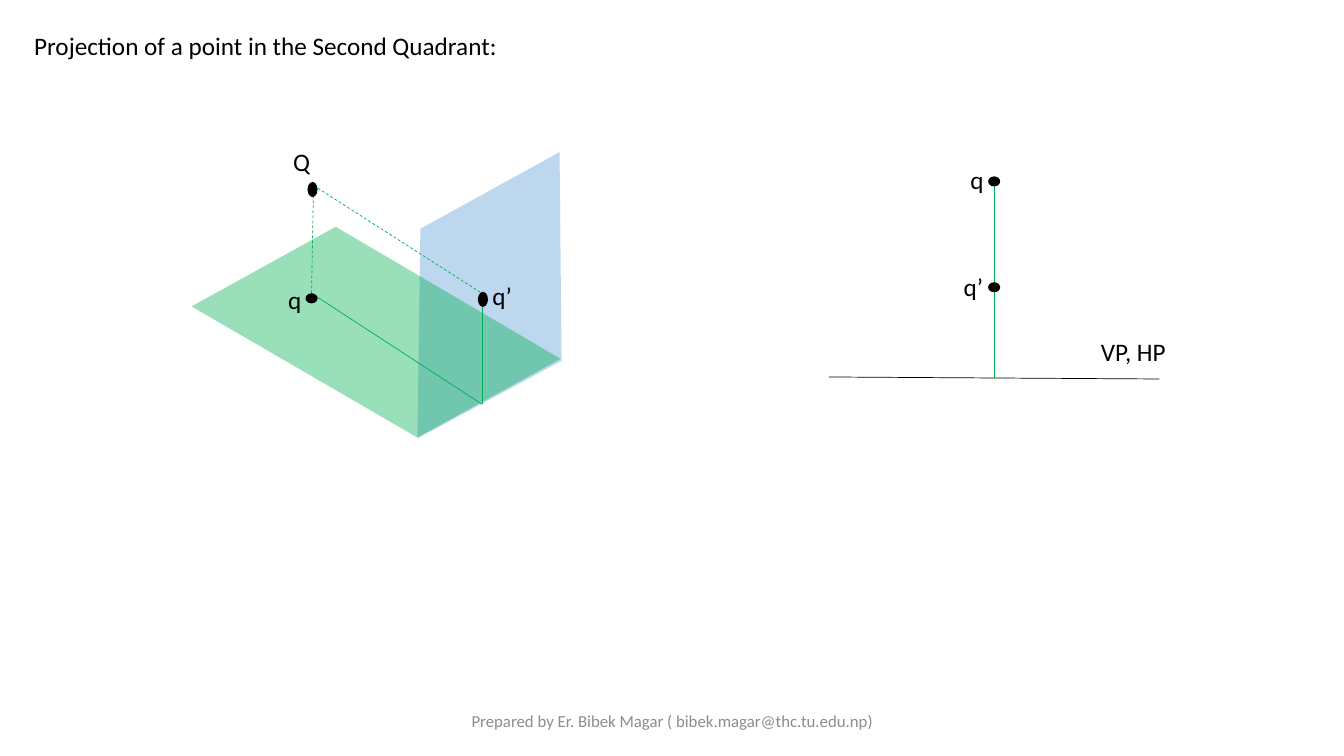
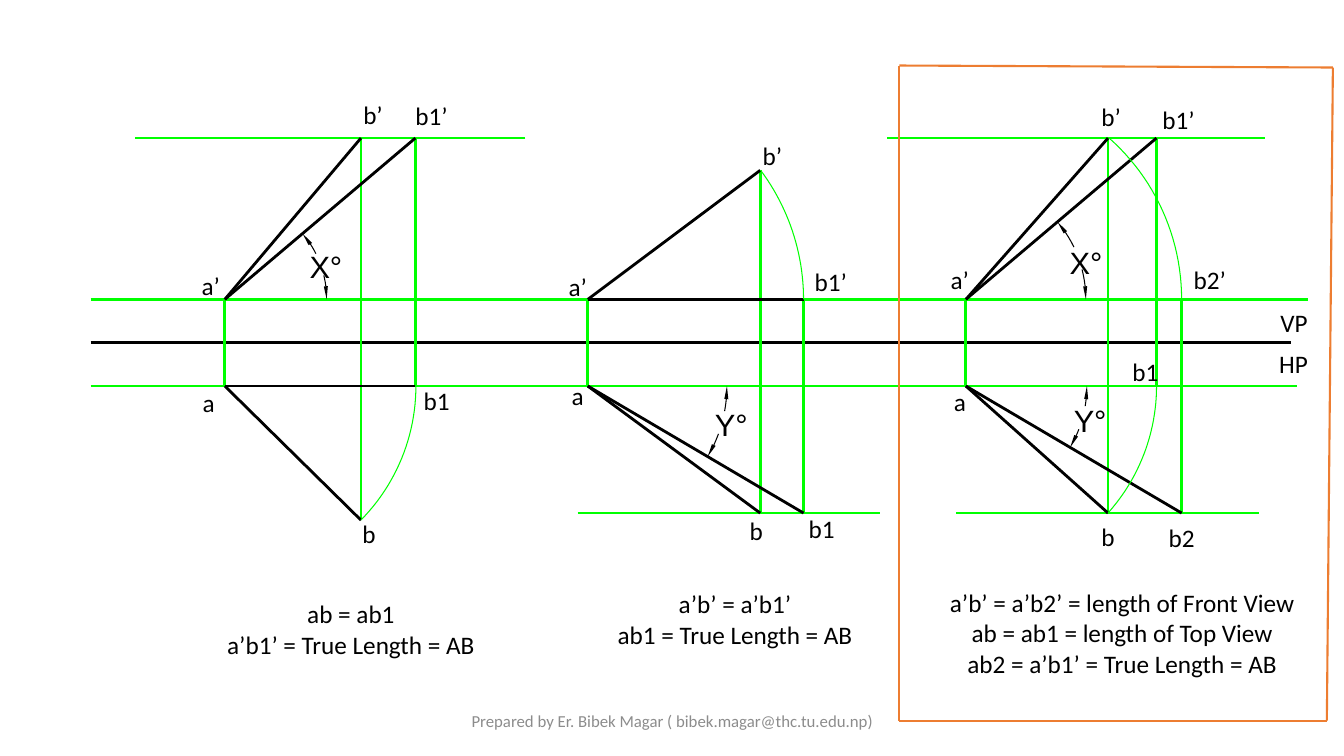
import math
from dataclasses import dataclass

import pptx
import pptx.dml.color
import pptx.enum.dml
import pptx.enum.shapes
import pptx.enum.text
import pptx.oxml.ns
import pptx.oxml.xmlchemy
import pptx.util
from pptx.util import Inches

ALIGN = pptx.enum.text.PP_ALIGN


@dataclass(frozen=True)
class Theme:
    """Colours, fonts, type sizes and line widths of the presentation."""
    ink: str = "000000"
    muted: str = "8C8C8C"
    projector: str = "00B050"
    construction: str = "00FF00"
    vertical_plane: str = "5B9BD5"
    frame: str = "ED7D31"
    font: str = "Calibri"
    angle_font: str = "Arial"
    body: int = 18
    footer: int = 12
    angle: int = 22
    hairline: float = 0
    thin: float = 0.5
    thick: float = 1.5


THEME = Theme()
FRONT, GROUND, TOP = 1.6, 2.03, 2.46


def rgb(value):
    """Return a colour from its hexadecimal form."""
    return pptx.dml.color.RGBColor.from_string(value)


def polar(center, radius, angle):
    """Return the point at a radius and angle from a center."""
    return center[0] + radius * math.cos(angle), center[1] + radius * math.sin(angle)


def direction(center, point):
    """Return the angle of a point seen from a center."""
    return math.atan2(point[1] - center[1], point[0] - center[0])


class Canvas:
    """Draws on a slide relative to the top left corner of a box."""

    def __init__(self, slide, left=0, top=0):
        """Keep the slide and the corner of the box."""
        self.shapes = slide.shapes
        self.left, self.top = left, top

    def place(self, point):
        """Convert a point of the box to slide lengths."""
        return Inches(self.left + point[0]), Inches(self.top + point[1])

    def line(self, start, end, color, width=THEME.hairline, dashed=False):
        """Draw a straight line."""
        connector = self.shapes.add_connector(
            pptx.enum.shapes.MSO_CONNECTOR.STRAIGHT, *self.place(start), *self.place(end))
        connector.line.color.rgb = rgb(color)
        connector.line.width = pptx.util.Pt(width)
        if dashed:
            connector.line.dash_style = pptx.enum.dml.MSO_LINE.DASH
        properties = connector._element.spPr
        properties.append(pptx.oxml.xmlchemy.OxmlElement("a:effectLst"))

    def outline(self, points, close):
        """Build a freeform through points."""
        placed = [self.place(point) for point in points]
        builder = self.shapes.build_freeform(*placed[0], scale=1.0)
        builder.add_line_segments(placed[1:], close=close)
        shape = builder.convert_to_shape()
        shape.shadow.inherit = False
        return shape

    def polygon(self, points, color, opacity=None):
        """Draw a filled polygon, with an optional opacity in percent."""
        shape = self.outline(points, True)
        shape.fill.solid()
        shape.fill.fore_color.rgb = rgb(color)
        shape.line.fill.background()
        if opacity is not None:
            alpha = pptx.oxml.xmlchemy.OxmlElement("a:alpha")
            alpha.set("val", str(opacity * 1000))
            fill_color = shape._element.spPr.find(".//" + pptx.oxml.ns.qn("a:srgbClr"))
            fill_color.append(alpha)

    def arc(self, center, radius, start, end, color, steps=24):
        """Draw a circular arc between two angles."""
        points = [polar(center, radius, start + (end - start) * step / steps)
                  for step in range(steps + 1)]
        shape = self.outline(points, False)
        shape.fill.background()
        shape.line.color.rgb = rgb(color)
        shape.line.width = pptx.util.Pt(THEME.hairline)

    def swing(self, center, start, end):
        """Draw the construction arc that turns one point into another."""
        self.arc(center, math.dist(center, start), direction(center, start),
                 direction(center, end), THEME.construction)

    def angle_mark(self, center, radius, target, stub):
        """Mark the angle between the horizontal and a target point."""
        angle = direction(center, target)
        turn = math.copysign(1 / radius, angle)
        for tip, inward in ((0, turn), (angle, -turn)):
            base = tip + 0.13 * inward
            self.polygon([polar(center, radius - 0.02, base), polar(center, radius + 0.02, base),
                          polar(center, radius, tip)], THEME.ink)
            self.arc(center, radius, base, base + stub * inward, THEME.ink, 3)

    def dot(self, center, width, height):
        """Draw a black dot around a center."""
        corner = center[0] - width / 2, center[1] - height / 2
        shape = self.shapes.add_shape(pptx.enum.shapes.MSO_SHAPE.OVAL, *self.place(corner),
                                      Inches(width), Inches(height))
        shape.shadow.inherit = False
        shape.fill.solid()
        shape.fill.fore_color.rgb = rgb(THEME.ink)
        shape.line.fill.background()

    def text(self, corner, lines, width=0.84, align=ALIGN.CENTER, size=THEME.body,
             color=THEME.ink, font=THEME.font):
        """Write one paragraph for each line and return the text frame."""
        box = self.shapes.add_textbox(*self.place(corner), Inches(width), Inches(0.1 + 0.3 * len(lines)))
        frame = box.text_frame
        frame.word_wrap = True
        for index, line in enumerate(lines):
            paragraph = frame.add_paragraph() if index else frame.paragraphs[0]
            paragraph.text = line
            paragraph.alignment = align
            paragraph.font.size = pptx.util.Pt(size)
            paragraph.font.name = font
            paragraph.font.color.rgb = rgb(color)
        return frame

    def angle_text(self, corner, text):
        """Write the name of an angle without margins."""
        frame = self.text(corner, [text], 0.33, ALIGN.LEFT, THEME.angle, font=THEME.angle_font)
        frame.word_wrap = False
        frame.margin_left = frame.margin_right = frame.margin_top = frame.margin_bottom = 0

    def labels(self, entries):
        """Write centred point names."""
        for text, x, y in entries:
            self.text((x, y), [text])

    def lines(self, color, *segments):
        """Draw several hairlines of one colour."""
        for start, end in segments:
            self.line(start, end, color)


def add_slide(presentation):
    """Add a blank slide with the shared footer."""
    slide = presentation.slides.add_slide(presentation.slide_layouts[6])
    footer = Canvas(slide, 4.42, 6.95).text(
        (0, 0), ["Prepared by Er. Bibek Magar ( bibek.magar@thc.tu.edu.np)"], 4.5,
        size=THEME.footer, color=THEME.muted)
    footer.vertical_anchor = pptx.enum.text.MSO_ANCHOR.MIDDLE
    return slide


def draw_pictorial_view(canvas):
    """Draw the planes and the projected point in space."""
    point, plan, elevation, foot = (1.21, 0.44), (1.19, 1.51), (2.88, 1.51), (2.88, 2.61)
    canvas.text((0.91, 0), ["Q"], 0.61, ALIGN.LEFT)
    canvas.polygon([(2.24, 2.95), (2.27, 0.87), (3.65, 0.11), (3.67, 2.18)], THEME.vertical_plane, 40)
    canvas.polygon([(2.24, 2.94), (0, 1.64), (1.43, 0.85), (3.66, 2.16)], THEME.projector, 40)
    for start, end, dashed in ((point, plan, True), (point, elevation, True),
                               (plan, foot, False), (elevation, foot, False)):
        canvas.line(start, end, THEME.projector, THEME.thin, dashed)
    canvas.dot((1.2, 0.48), 0.1, 0.15)
    canvas.dot((2.89, 1.57), 0.1, 0.15)
    canvas.dot((1.19, 1.56), 0.12, 0.1)
    canvas.text((2.81, 1.33), ["q’"], 0.54)
    canvas.text((0.86, 1.37), ["q"], 0.3, ALIGN.LEFT)


def draw_orthographic_view(canvas):
    """Draw both projections above the reference line."""
    plan, elevation = (1.66, 0.3), (1.66, 1.35)
    canvas.line((0.02, 2.24), (3.3, 2.26), THEME.ink, THEME.thin)
    canvas.line(plan, (1.66, 2.25), THEME.projector, THEME.thin)
    for center in (plan, elevation):
        canvas.dot(center, 0.12, 0.1)
    canvas.text((1.22, 0.08), ["q"], 0.54)
    canvas.text((1.26, 1.14), ["q’"], 0.53, ALIGN.LEFT)
    canvas.text((2.62, 1.79), ["VP, HP"], 1.06, ALIGN.LEFT)


def draw_reference_lines(canvas):
    """Draw the levels that run through all three constructions."""
    canvas.lines(THEME.ink, ((0, GROUND), (11.9, GROUND)))
    canvas.lines(THEME.construction, ((0, TOP), (11.96, TOP)), ((0, FRONT), (12.07, FRONT)))
    canvas.text((11.42, 1.63), ["VP"], 1.03)
    canvas.text((11.26, 2.04), ["HP"], 1.34)


def draw_top_view_rotation(canvas):
    """Turn the top view to find the true length in the front view."""
    front_a, top_a = (0, FRONT), (0, TOP)
    front_b, front_b1, top_b, top_b1 = (1.35, 0), (1.89, 0), (1.35, 3.79), (1.89, TOP)
    canvas.lines(THEME.construction, (front_a, top_a), (front_b1, top_b1),
                 (top_b, front_b), ((2.98, 0), (-0.89, 0)))
    canvas.lines(THEME.ink, (front_a, front_b1), (top_b1, top_a), (top_a, top_b), (front_a, front_b))
    canvas.swing(top_a, top_b, top_b1)
    canvas.angle_mark(front_a, 1.01, front_b1, 0.11)
    canvas.angle_text((0.84, 1.09), "X°")
    canvas.labels((("a", -0.58, 2.42), ("b", 1.01, 3.72), ("a’", -0.56, 1.26),
                   ("b’", 1.05, -0.43), ("b1’", 1.63, -0.42), ("b1", 1.68, 2.4)))
    canvas.text((-0.16, 4.52), ["ab = ab1", "a’b1’ = True Length = AB"], 2.82)


def draw_front_view_rotation(canvas):
    """Turn the front view to find the true length in the top view."""
    front_a, top_a = (0, FRONT), (0, TOP)
    front_b, front_b1, top_b, top_b1 = (1.71, 0.32), (2.14, FRONT), (1.71, 3.72), (2.14, 3.72)
    canvas.lines(THEME.construction, (front_a, top_a), (top_b1, front_b1),
                 ((-0.1, 3.72), (2.9, 3.72)), (front_b, top_b))
    canvas.lines(THEME.ink, (top_a, top_b1), (front_b1, front_a), (front_a, front_b), (top_a, top_b))
    canvas.swing(front_a, front_b1, front_b)
    canvas.angle_mark(top_a, 1.38, top_b1, 0.12)
    canvas.angle_text((1.26, 2.66), "Y°")
    canvas.labels((("a", -0.52, 2.35), ("a’", -0.52, 1.27), ("b’", 1.41, -0.03),
                   ("b1", 1.9, 3.67), ("b1’", 1.99, 1.22), ("b", 1.25, 3.69)))
    canvas.text((0.05, 4.42), ["a’b’ = a’b1’", "ab1 = True Length = AB"], 2.82)


def draw_combined_rotation(canvas):
    """Turn both views in one construction."""
    front_a, top_a = (0, FRONT), (0, TOP)
    front_b, front_b1, front_b2 = (1.41, 0), (1.89, 0), (2.14, FRONT)
    top_b, top_b1, top_b2 = (1.41, 3.72), (1.89, TOP), (2.14, 3.72)
    canvas.lines(THEME.construction, (front_a, top_a), (top_b2, front_b2),
                 ((-0.1, 3.72), (2.91, 3.72)), (front_b1, top_b1),
                 ((-0.78, 0), (2.97, 0)), (front_b, top_b))
    canvas.lines(THEME.ink, (top_a, top_b2), (front_a, front_b1), (front_a, front_b), (top_a, top_b))
    canvas.swing(top_a, top_b, top_b1)
    canvas.swing(front_a, front_b2, front_b)
    canvas.angle_mark(front_a, 1.19, front_b1, 0.17)
    canvas.angle_text((1.03, 1.05), "X°")
    canvas.angle_mark(top_a, 1.2, top_b2, 0.07)
    canvas.angle_text((1.07, 2.62), "Y°")
    canvas.labels((("a’", -0.48, 1.2), ("a", -0.48, 2.41), ("b1’", 1.69, -0.38),
                   ("b’", 1.02, -0.41), ("b", 0.99, 3.75), ("b2", 1.72, 3.76),
                   ("b1", 1.36, 2.12), ("b2’", 2, 1.2)))
    canvas.text((-0.48, 4.41), ["a’b’ = a’b2’ = length of Front View", "ab = ab1 = length of Top View",
                                "ab2 = a’b1’ = True Length = AB"], 4.06)


def draw_frame(canvas):
    """Frame the combined construction with four lines."""
    corners = [(0, 0), (4.3, 0.02), (4.24, 6.5), (0, 6.5)]
    for start, end in zip(corners, corners[1:] + corners[:1]):
        canvas.line(start, end, THEME.frame, THEME.thick)


def build_point_slide(presentation):
    """Build the slide on the point in the second quadrant."""
    slide = add_slide(presentation)
    Canvas(slide, 0.24, 0.25).text(
        (0, 0), ["Projection of a point in the Second Quadrant:"], 5.07, ALIGN.LEFT)
    draw_pictorial_view(Canvas(slide, 1.9, 1.4))
    draw_orthographic_view(Canvas(slide, 8.2, 1.5))


def build_true_length_slide(presentation):
    """Build the slide on the true length of a line."""
    slide = add_slide(presentation)
    for draw, left in ((draw_reference_lines, 0.9), (draw_top_view_rotation, 2.23),
                       (draw_front_view_rotation, 5.83), (draw_combined_rotation, 9.58)):
        draw(Canvas(slide, left, 1.37))
    draw_frame(Canvas(slide, 8.92, 0.65))


def main():
    """Build and save the presentation."""
    presentation = pptx.Presentation()
    presentation.slide_width, presentation.slide_height = Inches(13.33), Inches(7.5)
    build_point_slide(presentation)
    build_true_length_slide(presentation)
    presentation.save("out.pptx")


if __name__ == "__main__":
    main()
